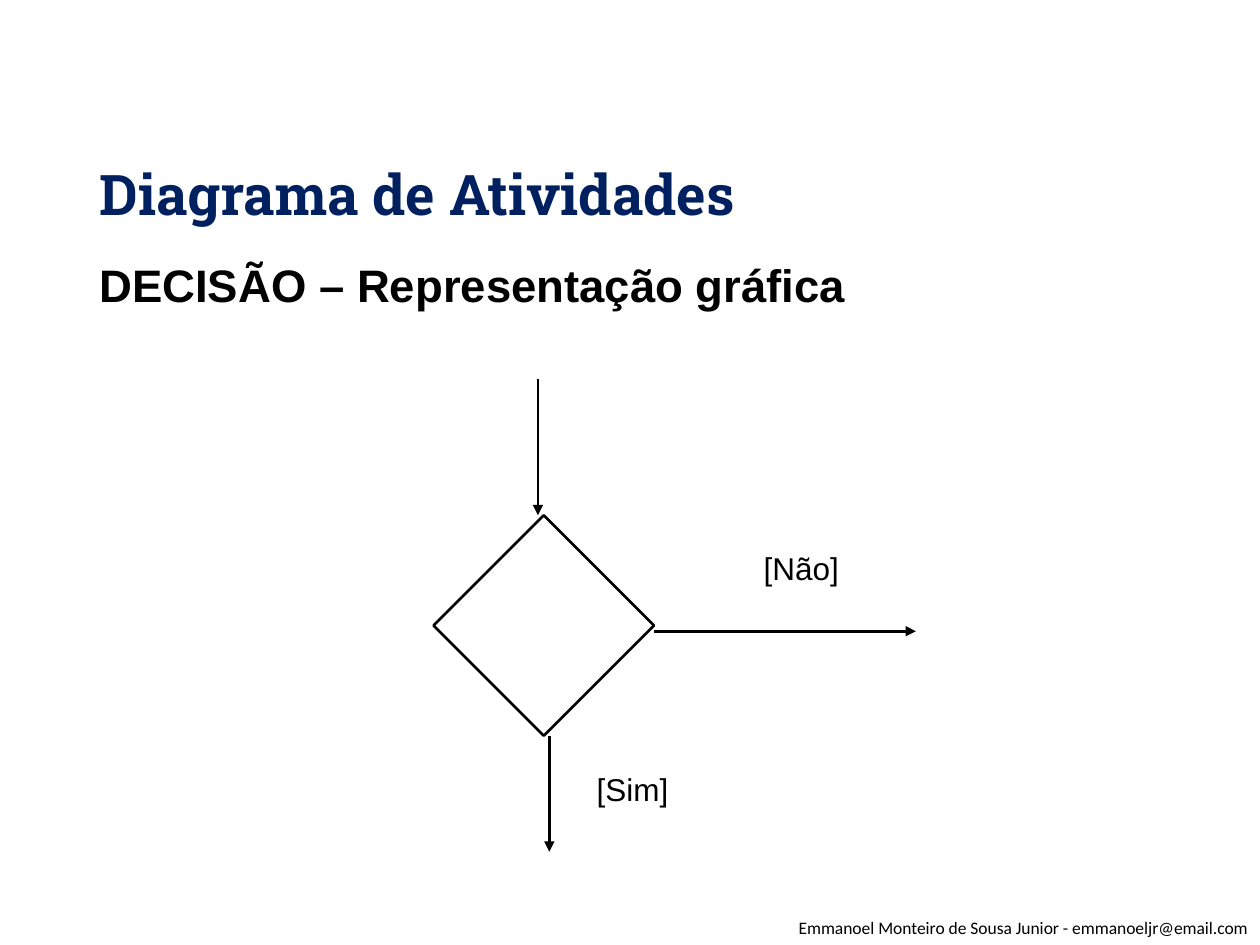
from lxml import etree
from pptx import Presentation
from pptx.dml.color import RGBColor
from pptx.enum.shapes import MSO_CONNECTOR, MSO_SHAPE
from pptx.enum.text import MSO_ANCHOR, PP_ALIGN
from pptx.oxml.ns import qn
from pptx.util import Inches, Pt

LINE = MSO_CONNECTOR.STRAIGHT
DIAMOND = MSO_SHAPE.DIAMOND
TOP, MID, LOW = MSO_ANCHOR.TOP, MSO_ANCHOR.MIDDLE, MSO_ANCHOR.BOTTOM
LEFT, RIGHT = PP_ALIGN.LEFT, PP_ALIGN.RIGHT
CENTER, FULL = PP_ALIGN.CENTER, PP_ALIGN.JUSTIFY

WIDE, HIGH = Inches(10), Inches(7.5)
BLACK, NAVY = "000000", "002060"

TITLE = ("Diagrama de Atividades", (6.9, 5.33, 86.2, 19.33))
TEXTS = [
    ("DECISÃO – Representação gráfica", (6.9, 26.53, 61.9, 7.2), "Arial", 26, True, FULL, TOP),
    ("[Não]", (58.6, 56.8, 10, 6.67), "Arial", 18, False, CENTER, MID),
    ("[Sim]", (45.4, 80.13, 9.6, 6.67), "Arial", 18, False, CENTER, MID),
    ("Emmanoel Monteiro de Sousa Junior - emmanoeljr@email.com",
     (25, 96.4, 75, 3.6), "Calibri", 10, False, RIGHT, TOP),
]
CHOICE = (34.4, 54.53, 17.5, 23.33)
EAST, SOUTH = CHOICE[0] + CHOICE[2], CHOICE[1] + CHOICE[3]
ARROWS = [
    (42.7, 40.13, 42.7, CHOICE[1]),
    (EAST, 66.8, 72.7, 66.8),
    (43.6, SOUTH, 43.6, 90.13),
]


def place(shares):
    return [round(share * side / 100) for share, side in zip(shares, (WIDE, HIGH) * 2)]


def tint(code):
    return RGBColor.from_string(code)


def write(frame, text, font, size, bold, align, anchor, color=BLACK):
    frame.word_wrap = True
    frame.vertical_anchor = anchor
    frame.margin_left = frame.margin_right = Inches(0.1)
    frame.margin_top = frame.margin_bottom = Inches(0.05)
    frame.text = text
    line = frame.paragraphs[0]
    line.alignment = align
    line.font.name, line.font.size, line.font.bold = font, Pt(size), bold
    line.font.color.rgb = tint(color)


def stroke(shape):
    shape.line.color.rgb = tint(BLACK)
    shape.line.width = Pt(1.5)


def arrow(shapes, ends):
    link = shapes.add_connector(LINE, *place(ends))
    stroke(link)
    etree.SubElement(link.line._get_or_add_ln(), qn("a:tailEnd"), type="triangle")
    etree.SubElement(link._element.spPr, qn("a:effectLst"))


def main():
    deck = Presentation()
    deck.slide_width, deck.slide_height = WIDE, HIGH
    shapes = deck.slides.add_slide(deck.slide_layouts[5]).shapes

    text, area = TITLE
    title = shapes.title
    title.left, title.top, title.width, title.height = place(area)
    write(title.text_frame, text, "Roboto Slab", 32, True, LEFT, LOW, NAVY)

    choice = shapes.add_shape(DIAMOND, *place(CHOICE))
    choice.shadow.inherit = False
    choice.fill.background()
    stroke(choice)

    for ends in ARROWS:
        arrow(shapes, ends)
    for text, area, *style in TEXTS:
        write(shapes.add_textbox(*place(area)).text_frame, text, *style)

    deck.save("out.pptx")


if __name__ == "__main__":
    main()
